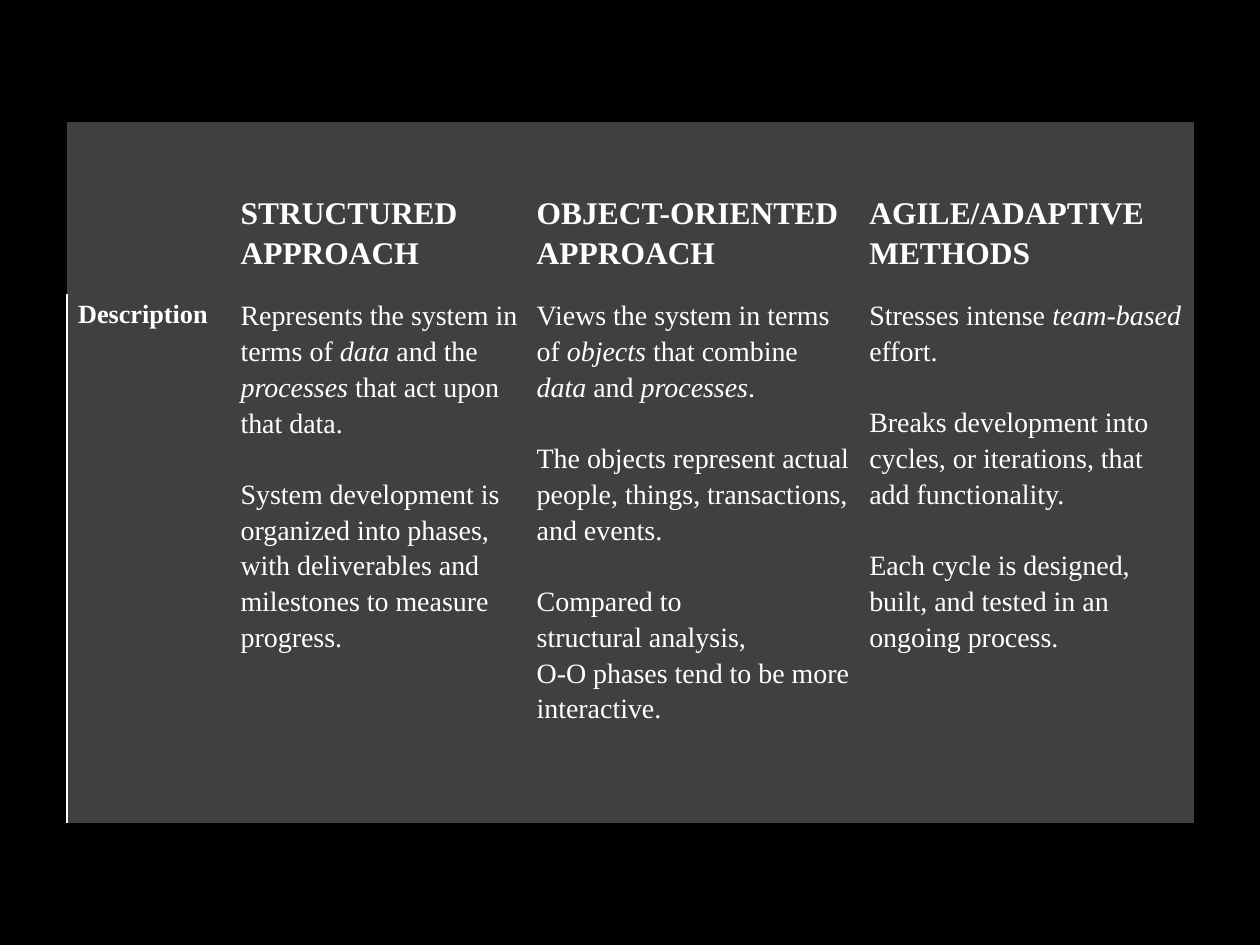
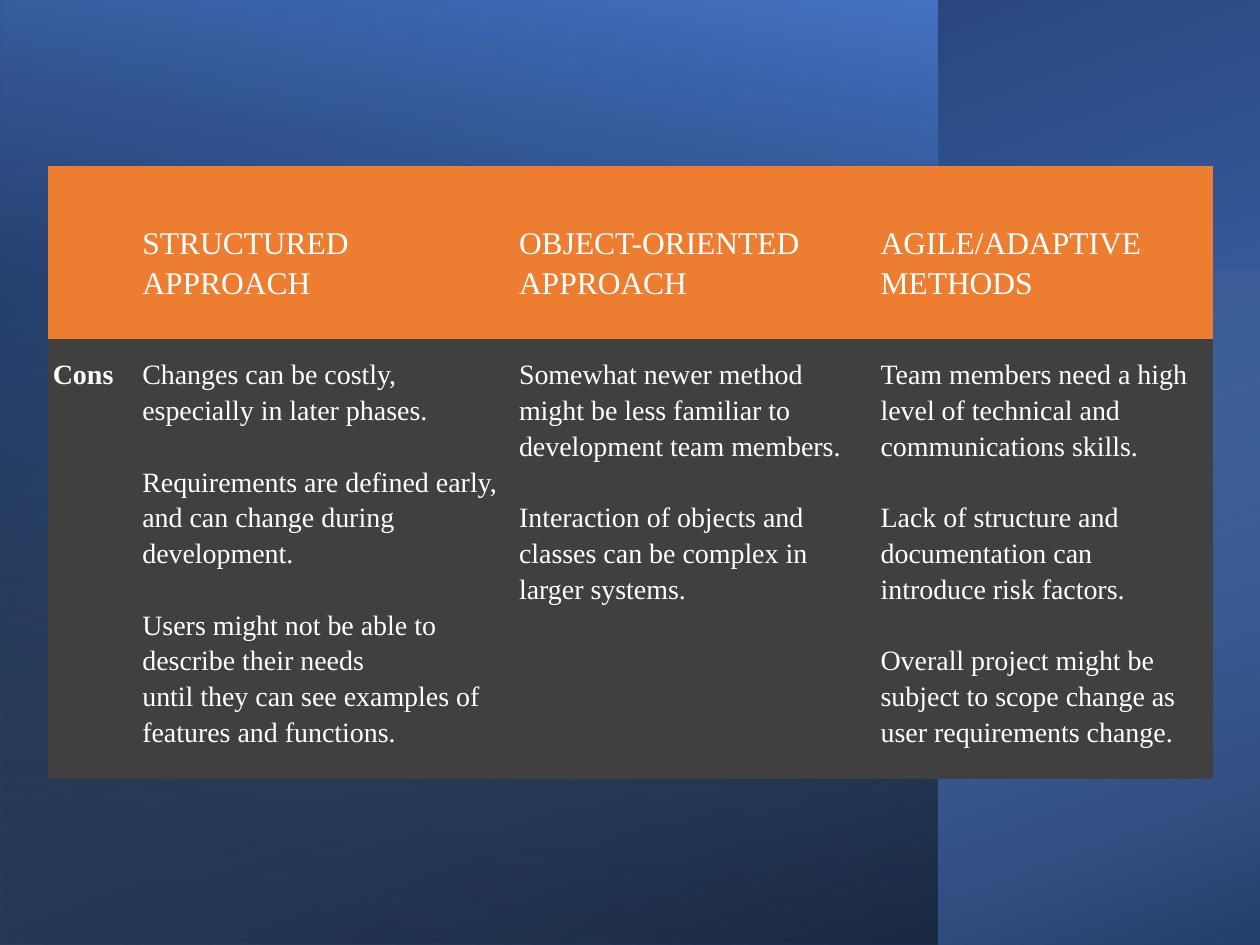
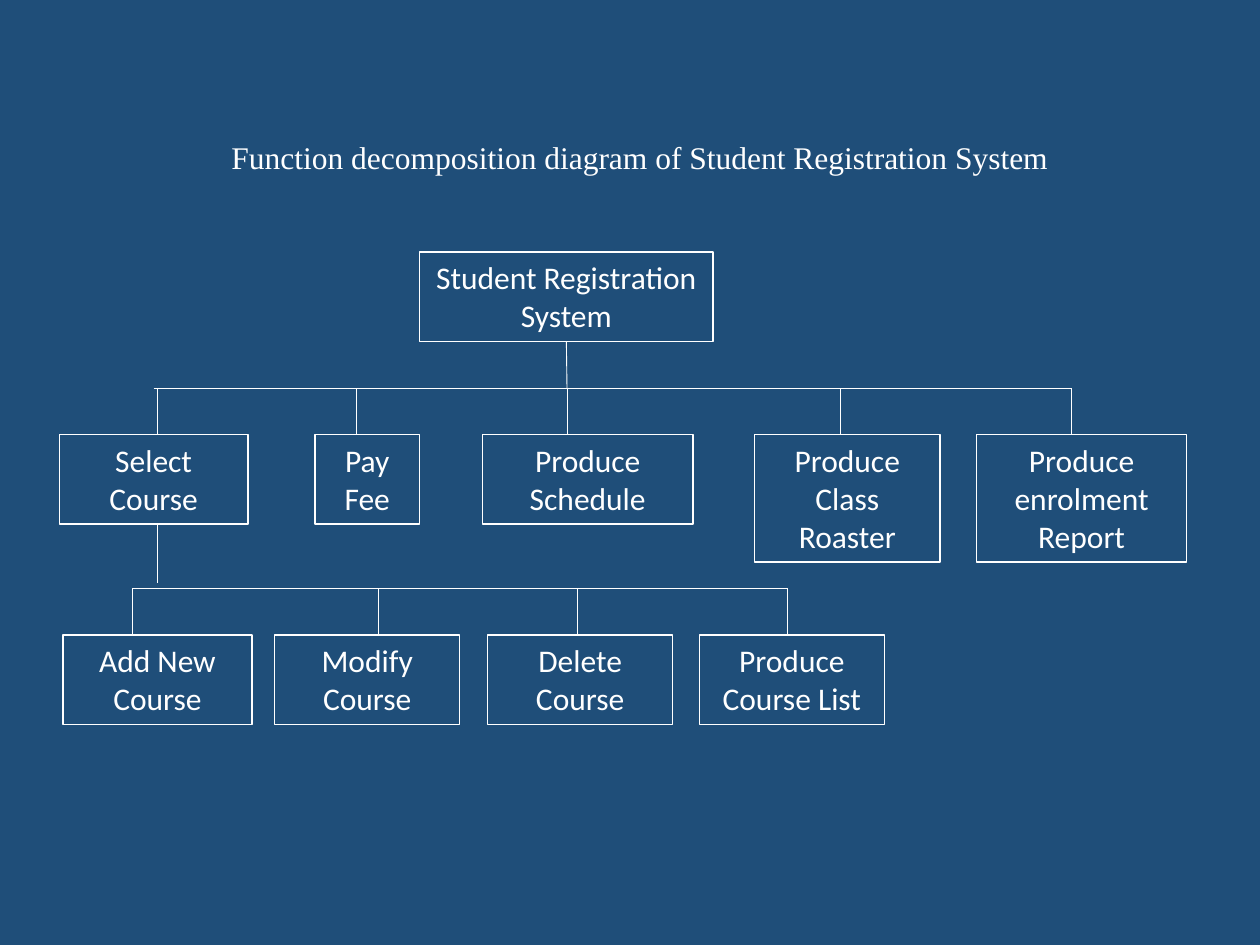
from lxml import etree
from pptx import Presentation
from pptx import util as u
from pptx.dml.color import RGBColor
from pptx.enum import shapes, text
from pptx.oxml import parse_xml
from pptx.oxml.ns import nsdecls, qn

BLACK = RGBColor(0x00, 0x00, 0x00)
WHITE = RGBColor(0xFF, 0xFF, 0xFF)
CHARCOAL = RGBColor(0x40, 0x40, 0x40)
ORANGE = RGBColor(0xED, 0x7D, 0x31)
BLUE = RGBColor(0x44, 0x72, 0xC4)
NAVY = RGBColor(0x20, 0x38, 0x64)
SKY = RGBColor(0x9D, 0xC3, 0xE6)
DEEP_BLUE = RGBColor(0x1F, 0x4E, 0x79)
SERIF, SANS = "Times New Roman", "Calibri"
PLAIN_TABLE = "{2D5ABB26-0587-4C30-8999-92F81FD0307C}"
BLANK_LINE = u.Pt(20.4)


def write(frame, content, size=18, font=SERIF, bold=False,
          align=text.PP_ALIGN.LEFT, spacing=1.15):
    """One paragraph a line; an empty line opens a gap; *stars* mark italics."""
    frame.word_wrap = True
    gap = False
    paragraph = None
    for line in content.split("\n"):
        if not line:
            gap = True
            continue
        paragraph = frame.add_paragraph() if paragraph else frame.paragraphs[0]
        paragraph.alignment = align
        paragraph.line_spacing = spacing
        if gap:
            paragraph.space_before = BLANK_LINE
            gap = False
        for i, part in enumerate(line.split("*")):
            if part:
                run = paragraph.add_run()
                run.text = part
                run.font.size = u.Pt(size)
                run.font.name = font
                run.font.bold = bold
                run.font.italic = i % 2 == 1
                run.font.color.rgb = WHITE


prs = Presentation()
prs.slide_width, prs.slide_height = u.Inches(10), u.Inches(7.5)
TITLE_ONLY, BLANK = prs.slide_layouts[5], prs.slide_layouts[6]
description, cons, diagram = [prs.slides.add_slide(layout)
                              for layout in (BLANK, BLANK, TITLE_ONLY)]
for slide, color in ((description, BLACK), (cons, WHITE), (diagram, DEEP_BLUE)):
    slide.background.fill.solid()
    slide.background.fill.fore_color.rgb = color

# Layered gradients behind the cons table: place, rotation, angle, stops (position, colour, alpha)
washes = [
    ((1.25, -1.25, 7.5, 10), 270, 200, [(8, BLUE, 100), (100, NAVY, 100)]),
    ((0, 0, 7.44, 7.5), 180, 80, [(8, BLACK, 52), (100, BLUE, 100)]),
    ((2.32, -0.18, 5.35, 10), 270, 20, [(0, SKY, 0), (100, BLACK, 46)]),
]
for place, rotation, angle, stops in washes:
    wash = cons.shapes.add_shape(shapes.MSO_SHAPE.RECTANGLE, *map(u.Inches, place))
    wash.shadow.inherit = False
    wash.rotation = rotation
    wash.line.fill.background()
    props = wash._element.spPr
    props.find(qn("a:xfrm")).set("flipH", "1")
    stop_xml = "".join(
        f'<a:gs pos="{pos * 1000}"><a:srgbClr val="{color}">'
        f'<a:alpha val="{alpha * 1000}"/></a:srgbClr></a:gs>'
        for pos, color, alpha in stops)
    props.find(qn("a:prstGeom")).addnext(parse_xml(
        f'<a:gradFill {nsdecls("a")} rotWithShape="1"><a:gsLst>{stop_xml}</a:gsLst>'
        f'<a:lin ang="{angle * 60000}" scaled="0"/></a:gradFill>'))

# Comparison tables
headings = ["", "STRUCTURED APPROACH", "OBJECT-ORIENTED APPROACH", "AGILE/ADAPTIVE METHODS"]
description_row = [
    "Description",
    "Represents the system in terms of *data* and the *processes* that act upon that data.\n\n"
    "System development is\n"
    "organized into phases, with deliverables and milestones to measure progress.",
    "Views the system in terms of *objects* that combine *data* and *processes*.\n\n"
    "The objects represent actual people, things, transactions, and events.\n\n"
    "Compared to\nstructural analysis,\nO-O phases tend to be more interactive.",
    "Stresses intense *team-based* effort.\n\n"
    "Breaks development into cycles, or iterations, that add functionality.\n\n"
    "Each cycle is designed, built, and tested in an ongoing process.",
]
cons_row = [
    "Cons",
    "Changes can be costly,\nespecially in later phases.\n\n"
    "Requirements are defined early, and can change during development.\n\n"
    "Users might not be able to describe their needs\n"
    "until they can see examples of features and functions.",
    "Somewhat newer method might be less familiar to development team members.\n\n"
    "Interaction of objects and classes can be complex in larger systems.",
    "Team members need a high level of technical and\ncommunications skills.\n\n"
    "Lack of structure and\ndocumentation can\nintroduce risk factors.\n\n"
    "Overall project might be\nsubject to scope change as\nuser requirements change.",
]
comparisons = [
    (description, (0.53, 0.97, 8.94, 5.56), (1.29, 2.35, 2.64, 2.67), (1.36, 4.2),
     (0.09, 0.02, 0.04, 0.18), description_row, CHARCOAL, True,
     text.MSO_ANCHOR.BOTTOM, 15),
    (cons, (0.38, 1.32, 9.25, 4.86), (0.71, 2.99, 2.87, 2.68), (1.37, 3.49),
     (0.04, 0.13, 0.04, 0), cons_row, ORANGE, False,
     text.MSO_ANCHOR.MIDDLE, 16),
]
for (slide, place, widths, heights, margins, body, heading_fill, heading_bold,
     heading_anchor, label_size) in comparisons:
    table = slide.shapes.add_table(2, 4, *map(u.Inches, place)).table
    table.first_row = table.horz_banding = False
    table._tbl.tblPr.find(qn("a:tableStyleId")).text = PLAIN_TABLE
    for column, width in zip(table.columns, widths):
        column.width = u.Inches(width)
    for row, height in zip(table.rows, heights):
        row.height = u.Inches(height)
    for r, entries in enumerate((headings, body)):
        for c, entry in enumerate(entries):
            cell = table.cell(r, c)
            (cell.margin_left, cell.margin_top,
             cell.margin_right, cell.margin_bottom) = map(u.Inches, margins)
            cell.fill.solid()
            cell.fill.fore_color.rgb = CHARCOAL if r else heading_fill
            cell.vertical_anchor = text.MSO_ANCHOR.TOP if r else heading_anchor
            if r == 0:
                write(cell.text_frame, entry, bold=heading_bold)
            elif c == 0:
                write(cell.text_frame, entry, size=label_size, bold=True,
                      align=text.PP_ALIGN.JUSTIFY)
            else:
                write(cell.text_frame, entry, size=16)
    # White rule left of the description label
    if slide is description:
        table.cell(1, 0)._tc.tcPr.insert(0, parse_xml(
            f'<a:lnL {nsdecls("a")} w="12700"><a:solidFill>'
            f'<a:srgbClr val="{WHITE}"/></a:solidFill></a:lnL>'))

# Diagram title
title = diagram.shapes.title
title.left, title.top, title.width, title.height = map(u.Inches, (1.58, 1, 7, 0.43))
write(title.text_frame, "Function decomposition diagram of Student Registration System",
      align=text.PP_ALIGN.CENTER)
title.text_frame.vertical_anchor = text.MSO_ANCHOR.TOP
title.text_frame.auto_size = text.MSO_AUTO_SIZE.SHAPE_TO_FIT_TEXT

# Functions: name, left, top, width, height
functions = [
    ("Student Registration System", 3.33, 2, 2.33, 0.71),
    ("Select Course", 0.47, 3.45, 1.5, 0.71),
    ("Pay Fee", 2.5, 3.45, 0.83, 0.71),
    ("Produce Schedule", 3.83, 3.45, 1.67, 0.71),
    ("Produce Class Roaster", 5.99, 3.45, 1.47, 1.01),
    ("Produce enrolment Report", 7.75, 3.45, 1.67, 1.01),
    ("Add New Course", 0.5, 5.04, 1.5, 0.71),
    ("Modify Course", 2.18, 5.04, 1.47, 0.71),
    ("Delete Course", 3.87, 5.04, 1.47, 0.71),
    ("Produce Course List", 5.55, 5.04, 1.47, 0.71),
]
boxes = {}
for name, *place in functions:
    box = diagram.shapes.add_shape(shapes.MSO_SHAPE.RECTANGLE, *map(u.Inches, place))
    box.shadow.inherit = False
    box.fill.background()
    box.line.color.rgb = WHITE
    box.line.width = u.Pt(0.75)
    write(box.text_frame, name, font=SANS, align=text.PP_ALIGN.CENTER, spacing=1.0)
    box.text_frame.vertical_anchor = text.MSO_ANCHOR.TOP
    box.text_frame.auto_size = text.MSO_AUTO_SIZE.SHAPE_TO_FIT_TEXT
    boxes[name] = box

# Branches: trunk from the parent, crossbar, then a drop to each child
trunk = (4.5, 2.72, 4.5, 3.08)
branches = [trunk, (1.22, 3.08, 8.5, 3.08), (1.25, 4.17, 1.25, 4.63), (1.05, 4.67, 6.25, 4.67)]
branches += [(x, 3.08, x, 3.45) for x in (1.25, 2.83, 4.5, 6.67, 8.5)]
branches += [(x, 4.67, x, 5.03) for x in (1.05, 3, 4.58, 6.25)]
for ends in branches:
    branch = diagram.shapes.add_connector(shapes.MSO_CONNECTOR.STRAIGHT, *map(u.Inches, ends))
    branch.line.color.rgb = WHITE
    branch.line.width = u.Pt(0.5)
    etree.SubElement(branch._element.spPr, qn("a:effectLst"))
    if ends is trunk:
        branch.begin_connect(boxes["Student Registration System"], 2)

prs.save("out.pptx")
